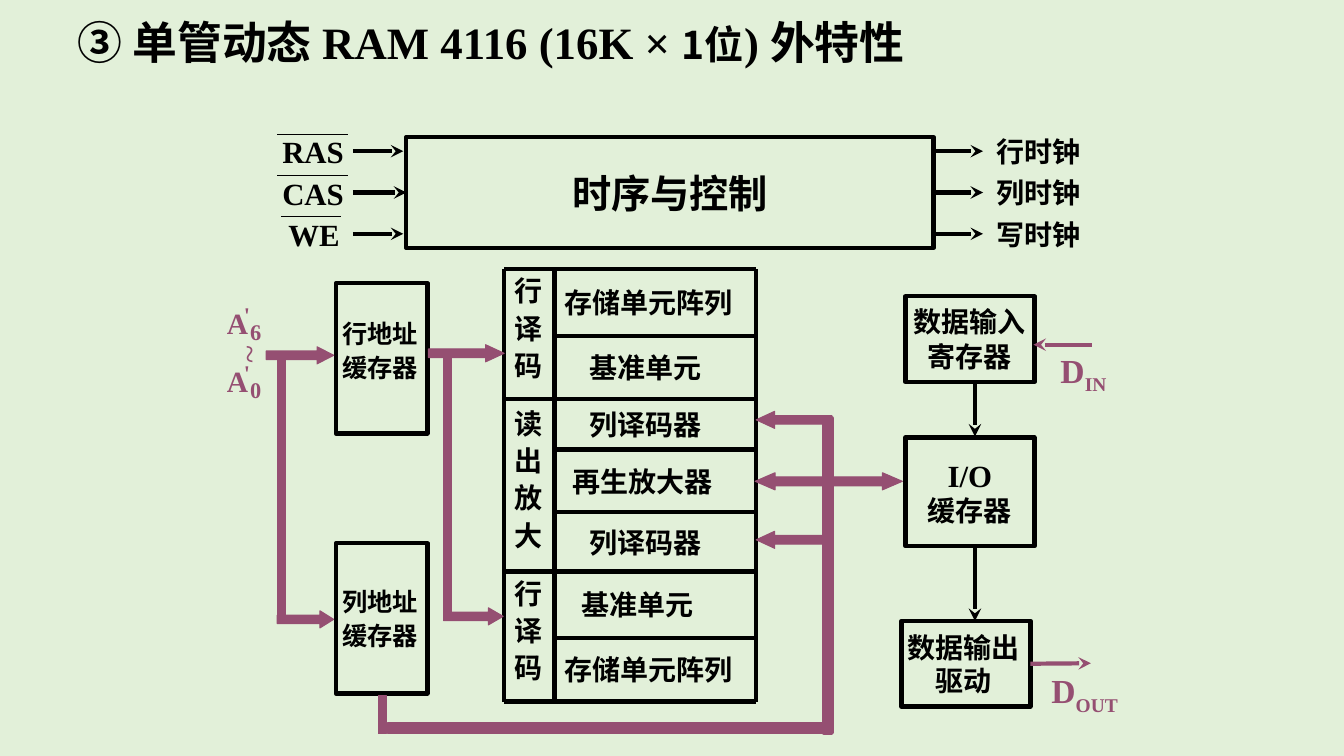
from dataclasses import dataclass

from lxml import etree
from pptx import Presentation
from pptx.dml.color import RGBColor
from pptx.enum.shapes import MSO_CONNECTOR, MSO_SHAPE
from pptx.enum.text import MSO_ANCHOR, PP_ALIGN
from pptx.oxml.ns import qn
from pptx.util import Inches, Pt

RECT = MSO_SHAPE.RECTANGLE
RIGHT_ARROW = MSO_SHAPE.RIGHT_ARROW
DOUBLE_ARROW = MSO_SHAPE.LEFT_RIGHT_ARROW
STRAIGHT = MSO_CONNECTOR.STRAIGHT
TOP, MIDDLE = MSO_ANCHOR.TOP, MSO_ANCHOR.MIDDLE
LEFT, CENTER = PP_ALIGN.LEFT, PP_ALIGN.CENTER


@dataclass(frozen=True)
class Theme:
    paper: RGBColor = RGBColor(0xE2, 0xF0, 0xD9)
    ink: RGBColor = RGBColor(0, 0, 0)
    bus: RGBColor = RGBColor(0x95, 0x4F, 0x72)
    latin: str = "Times New Roman"
    chinese: str = "Noto Sans CJK SC"
    title: int = 32
    heading: int = 28
    data: int = 24
    signal: int = 22
    address: int = 21
    label: int = 20
    buffer: int = 18
    mark: int = 16
    thick: float = 3
    thin: float = 0.75


THEME = Theme()
NO_INSETS = (0, 0, 0, 0)
TEXT_INSETS = (0.1, 0.05, 0.1, 0.05)


def apply(target, values):
    for name, value in values.items():
        setattr(target, name, value)


def add_span(para, text, size, name=THEME.chinese, color=THEME.ink, bold=True, baseline=0):
    span = para.add_run()
    span.text = text
    span.font.color.rgb = color
    apply(span.font, {"size": Pt(size), "bold": bold, "name": name})
    props = span.font._element
    etree.SubElement(props, qn("a:ea")).set("typeface", THEME.chinese)
    if baseline:
        props.set("baseline", str(baseline * 1000))


def write(shape, lines, insets=NO_INSETS, wrap=True, anchor=TOP, align=LEFT, gap=0, spacing=1.0):
    frame = shape.text_frame
    sides = ("margin_left", "margin_top", "margin_right", "margin_bottom")
    apply(frame, {side: Inches(inset) for side, inset in zip(sides, insets)})
    apply(frame, {"word_wrap": wrap, "vertical_anchor": anchor})
    for index, spans in enumerate(lines):
        para = frame.add_paragraph() if index else frame.paragraphs[0]
        apply(para, {"alignment": align, "line_spacing": spacing,
                     "space_before": Pt(gap if index else 0)})
        for span in spans:
            add_span(para, **span)


def add_text(page, at, lines, **layout):
    box = page.shapes.add_textbox(*map(Inches, at))
    write(box, lines, **layout)
    return box


def add_block(page, at, lines, **layout):
    block = page.shapes.add_shape(RECT, *map(Inches, at))
    block.shadow.inherit = False
    block.fill.background()
    block.line.color.rgb = THEME.ink
    block.line.width = Pt(THEME.thick)
    write(block, lines, **{"anchor": MIDDLE, "align": CENTER, **layout})
    return block


def add_bus(page, at, kind=RECT, adjust=(), width=THEME.thin, turn=0):
    bar = page.shapes.add_shape(kind, *map(Inches, at))
    bar.shadow.inherit = False
    bar.fill.solid()
    bar.fill.fore_color.rgb = bar.line.color.rgb = THEME.bus
    bar.line.width = Pt(width)
    bar.rotation = turn
    for index, value in enumerate(adjust):
        bar.adjustments[index] = value


def add_line(page, start, end, color=THEME.ink, width=THEME.thick, head=False):
    line = page.shapes.add_connector(STRAIGHT, *map(Inches, (*start, *end)))
    line.line.color.rgb = color
    line.line.width = Pt(width)
    props = line._element.spPr
    if head:
        etree.SubElement(props.find(qn("a:ln")), qn("a:tailEnd")).set("type", "stealth")
    etree.SubElement(props, qn("a:effectLst"))
    return line


def chinese_lines(*texts, size=THEME.label):
    return [[{"text": text, "size": size}] for text in texts]


def latin(text, size, **style):
    return {"text": text, "size": size, "name": THEME.latin, **style}


def add_title(page):
    spans = [latin("③ 单管动态 RAM 4116 (16K × ", THEME.title),
             {"text": "1位", "size": THEME.heading},
             latin(") 外特性", THEME.title)]
    add_text(page, (0.67, 0.1, 8.92, 0.63), [spans], insets=TEXT_INSETS)


def add_timing(page):
    control = add_block(page, (4.03, 1.36, 5.23, 1.1),
                        chinese_lines("时序与控制", size=THEME.heading))
    signals = (("RAS", 2.8, 2.75, 3.45, "行时钟"),
               ("CAS", 2.8, 2.75, 3.45, "列时钟"),
               ("WE", 2.86, 2.79, 3.38, "写时钟"))
    for index, (signal, left, bar_start, bar_end, clock) in enumerate(signals):
        y = 1.5 + 0.41 * index
        add_text(page, (left, y - 0.18, 0.62, 0.37), [[latin(signal, THEME.signal)]], wrap=False)
        add_line(page, (bar_start, y - 0.17), (bar_end, y - 0.17), width=THEME.thin)
        entry = add_line(page, (3.5, y), (4, y), head=True)
        leave = add_line(page, (9.25, y), (9.75, y), head=True)
        if index == 1:
            entry.end_connect(control, 1)
            leave.begin_connect(control, 3)
        add_text(page, (9.88, y - 0.2, 0.84, 0.4), chinese_lines(clock), wrap=False, anchor=MIDDLE)


def add_memory(page):
    left, split, right = 5, 5.5, 7.5
    edges = (2.67, 3.33, 3.96, 4.46, 5.08, 5.67, 6.33, 6.96)
    sections = (edges[0], edges[2], edges[5], edges[7])
    cells = (("存储单元阵列", 5.5), ("基准单元", 5.75), ("列译码器", 5.75), ("再生放大器", 5.58),
             ("列译码器", 5.75), ("基准单元", 5.67), ("存储单元阵列", 5.5))
    for (text, x), top, bottom in zip(cells, edges, edges[1:]):
        add_text(page, (x, top, 2, bottom - top), chinese_lines(text),
                 insets=TEXT_INSETS, anchor=MIDDLE)
    for text, top, bottom in zip(("行译码", "读出放大", "行译码"), sections, sections[1:]):
        add_text(page, (left, top, 0.5, bottom - top), chinese_lines(*text),
                 insets=(0.1, 0, 0.1, 0.16), anchor=MIDDLE, spacing=Pt(26.6))
    for y in edges:
        add_line(page, (left if y in sections else split, y), (right, y))
    for x in (left, split, right):
        add_line(page, (x, edges[0]), (x, edges[-1]))


def add_address(page):
    for digit, top in (("6", 3.03), ("0", 3.6)):
        parts = (("A", 2.25, top, 0.21, THEME.address),
                 ("'", 2.42, top - 0.04, 0.06, THEME.mark),
                 (digit, 2.48, top + 0.13, 0.11, THEME.mark))
        for text, x, y, width, size in parts:
            add_text(page, (x, y, width, 0.3), [[latin(text, size, color=THEME.bus)]], wrap=False)
    tilde = add_text(page, (2.14, 3.33, 0.61, 0.42),
                     [[latin("~", THEME.data, color=THEME.bus, bold=False)]], insets=TEXT_INSETS)
    tilde.text_frame._txBody.bodyPr.set("vert", "eaVert")
    for text, top, lift in (("行地址", 2.81, 0.15), ("列地址", 5.39, 0)):
        add_block(page, (3.33, top, 0.91, 1.49),
                  chinese_lines(text, "缓存器", size=THEME.buffer),
                  insets=(0, 0, 0.03, lift), gap=2.6)


def add_buses(page):
    for x, y in ((2.75, 3.5), (4.4, 3.48)):
        add_bus(page, (x, y, 0.08, 2.67))
    add_bus(page, (8.17, 4.15, 0.08, 3.12), width=THEME.thick)
    add_bus(page, (3.85, 7.18, 4.32, 0.08), width=THEME.thick)
    add_bus(page, (3.75, 6.9, 0.08, 0.38))
    arrows = ((2.64, 3.44, 0.67, 0.97, 0), (2.75, 6.06, 0.56, 0.8, 0),
              (4.25, 3.42, 0.75, 1.08, 0), (4.4, 6.03, 0.59, 0.86, 0),
              (7.5, 4.08, 0.75, 1.08, 180), (7.5, 5.27, 0.75, 1.08, 180))
    for x, y, width, point, turn in arrows:
        add_bus(page, (x, y, width, 0.17), RIGHT_ARROW, (0.5, point), turn=turn)
    add_bus(page, (7.49, 4.69, 1.46, 0.17), DOUBLE_ARROW, (0.52, 1.16))


def add_data_side(page):
    add_block(page, (8.98, 2.94, 1.28, 0.85), chinese_lines("数据输入", "寄存器"), gap=1)
    add_block(page, (8.98, 4.34, 1.28, 1.08),
              [[latin("I/O", THEME.signal)], *chinese_lines("缓存器")])
    driver = add_block(page, (8.94, 6.16, 1.28, 0.85), chinese_lines("数据输出", "驱动"),
                       insets=(0, 0, 0.04, 0))
    for top, bottom in ((3.79, 4.33), (5.41, 6.16)):
        add_line(page, (9.67, top), (9.67, bottom), head=True)
    add_line(page, (10.83, 3.42), (10.25, 3.42), THEME.bus, head=True)
    leave = add_line(page, (10.24, 6.58), (10.82, 6.58), THEME.bus, head=True)
    leave.begin_connect(driver, 3)
    for suffix, x, y, width in (("IN", 10.42, 3.42, 0.83), ("OUT", 10.33, 6.6, 1.25)):
        spans = [latin("D", THEME.data, color=THEME.bus),
                 latin(suffix, THEME.data, color=THEME.bus, baseline=-25)]
        add_text(page, (x, y, width, 0.5), [spans], insets=TEXT_INSETS)


def main():
    deck = Presentation()
    apply(deck, {"slide_width": Inches(13.33), "slide_height": Inches(7.5)})
    page = deck.slides.add_slide(deck.slide_layouts[6])
    page.background.fill.solid()
    page.background.fill.fore_color.rgb = THEME.paper
    for draw in (add_title, add_timing, add_memory, add_address, add_data_side, add_buses):
        draw(page)
    deck.save("out.pptx")


if __name__ == "__main__":
    main()
